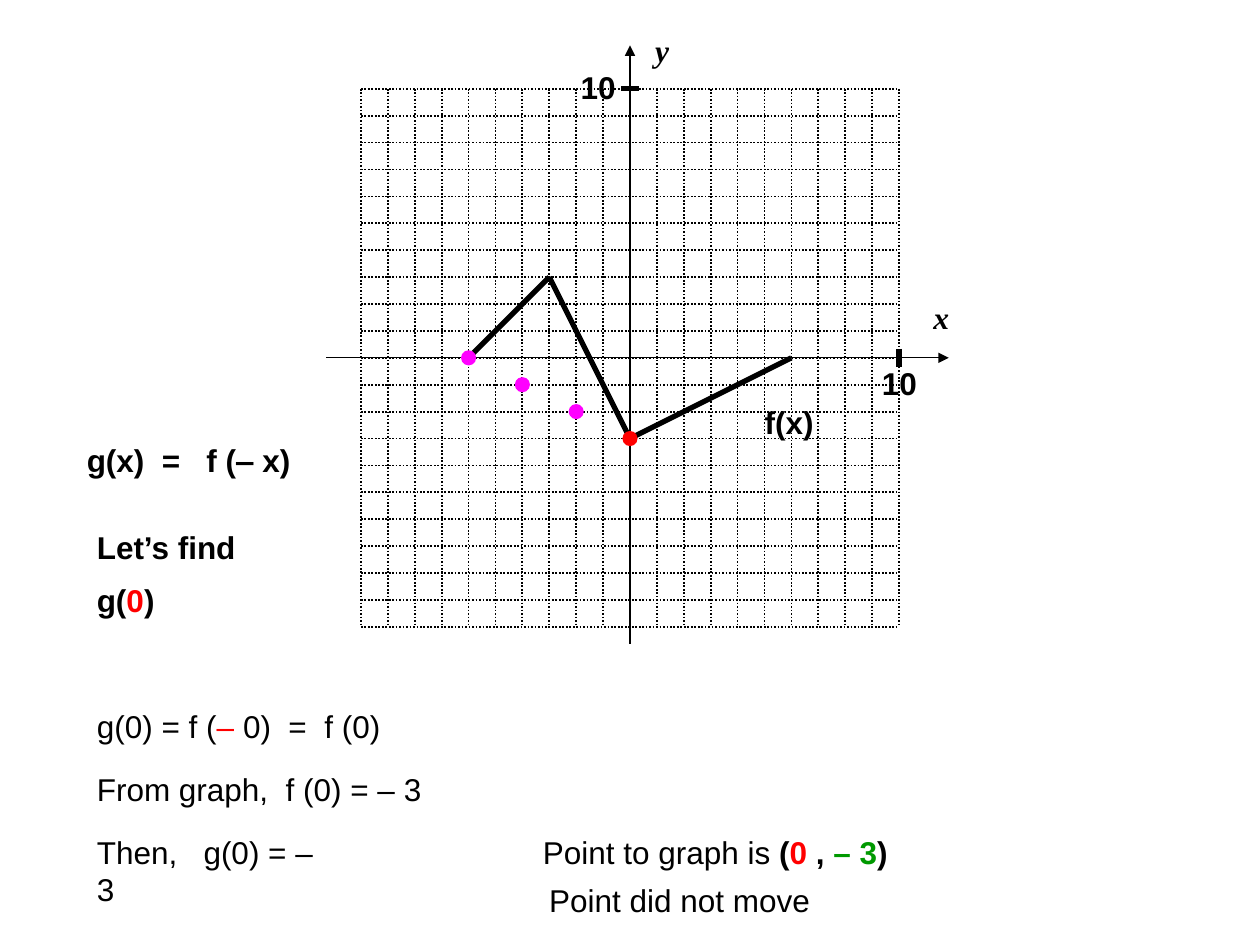
from typing import NamedTuple

from lxml.etree import SubElement
from pptx import Presentation
from pptx.dml.color import RGBColor
from pptx.enum.dml import MSO_LINE
from pptx.enum.shapes import MSO_CONNECTOR, MSO_SHAPE
from pptx.enum.text import MSO_AUTO_SIZE
from pptx.oxml.ns import qn
from pptx.util import Inches, Pt

BLACK, RED, GREEN, MAGENTA = "000000", "FF0000", "009900", "FF00FF"
ORIGIN_X, ORIGIN_Y = 5.0, 2.84
UNIT = 0.2135
LIMIT = 10
DOT_SIZE = 0.11
TICK = 0.07


class Point(NamedTuple):
    x: float
    y: float


class Phrase(NamedTuple):
    text: str
    color: str = BLACK
    bold: bool = False


class Label(NamedTuple):
    left: float
    top: float
    width: float
    phrases: list[Phrase]
    font: str = "Arial"
    italic: bool = False


class Dot(NamedTuple):
    center: Point
    color: str


CURVE = [Point(-6, 0), Point(-3, 3), Point(0, -3), Point(6, 0)]
DOTS = [
    Dot(Point(0, -3), RED),
    Dot(Point(-6, 0), MAGENTA),
    Dot(Point(-4, -1), MAGENTA),
    Dot(Point(-2, -2), MAGENTA),
]
LABELS = [
    Label(5.1, 0.2, 0.31, [Phrase("y", bold=True)], "Times New Roman", True),
    Label(7.31, 2.32, 0.32, [Phrase("x", bold=True)], "Times New Roman", True),
    Label(6.9, 2.84, 0.48, [Phrase("10", bold=True)]),
    Label(4.51, 0.49, 0.48, [Phrase("10", bold=True)]),
    Label(5.97, 3.15, 0.59, [Phrase("f(x)", bold=True)]),
    Label(0.59, 3.45, 1.82, [Phrase("g(x)  =   f (‒ x)", bold=True)]),
    Label(0.67, 4.14, 1.31, [Phrase("Let’s find", bold=True)]),
    Label(0.67, 4.56, 0.66,
          [Phrase("g(", bold=True), Phrase("0", RED, True), Phrase(")", bold=True)]),
    Label(0.67, 5.56, 2.52,
          [Phrase("g(0) = f ("), Phrase("‒ ", RED), Phrase("0)  =  f (0)")]),
    Label(0.67, 6.06, 2.78, [Phrase("From graph,  f (0) = ‒ 3")]),
    Label(0.67, 6.56, 2.12, [Phrase("Then,   g(0) = ‒ 3")]),
    Label(4.21, 6.56, 2.94,
          [Phrase("Point to graph is "), Phrase("(", bold=True),
           Phrase("0 ", RED, True), Phrase(", ", bold=True),
           Phrase("– 3", GREEN, True), Phrase(")", bold=True)]),
    Label(4.26, 6.94, 2.27, [Phrase("Point did not move")]),
]


def rgb(color: str) -> RGBColor:
    return RGBColor.from_string(color)


def on_slide(point: Point) -> Point:
    """Turn graph units into inches on the slide."""
    return Point(ORIGIN_X + point.x * UNIT, ORIGIN_Y - point.y * UNIT)


def draw_line(shapes, start: Point, end: Point, width: float,
              dotted: bool = False, arrow: bool = False) -> None:
    """Draw a black line between two places given in inches."""
    connector = shapes.add_connector(
        MSO_CONNECTOR.STRAIGHT, Inches(start.x), Inches(start.y),
        Inches(end.x), Inches(end.y))
    connector.line.color.rgb = rgb(BLACK)
    connector.line.width = Pt(width)
    if dotted:
        connector.line.dash_style = MSO_LINE.ROUND_DOT
    properties = connector._element.spPr
    if arrow:
        SubElement(properties.find(qn("a:ln")), qn("a:tailEnd"), type="triangle")
    SubElement(properties, qn("a:effectLst"))


def draw_grid(shapes) -> None:
    steps = range(-LIMIT, LIMIT + 1)
    verticals = [(Point(n, LIMIT), Point(n, -LIMIT)) for n in steps]
    horizontals = [(Point(-LIMIT, n), Point(LIMIT, n)) for n in steps]
    for start, end in verticals + horizontals:
        draw_line(shapes, on_slide(start), on_slide(end), 1, dotted=True)


def draw_curve(shapes) -> None:
    for start, end in zip(CURVE, CURVE[1:]):
        draw_line(shapes, on_slide(start), on_slide(end), 3)


def draw_axes(shapes) -> None:
    draw_line(shapes, Point(ORIGIN_X, 5.11), Point(ORIGIN_X, 0.36), 0.75, arrow=True)
    draw_line(shapes, Point(2.59, ORIGIN_Y), Point(7.53, ORIGIN_Y), 0.75, arrow=True)
    right, top = on_slide(Point(LIMIT, LIMIT))
    draw_line(shapes, Point(right, ORIGIN_Y - TICK), Point(right, ORIGIN_Y + TICK), 3)
    draw_line(shapes, Point(ORIGIN_X - TICK, top), Point(ORIGIN_X + TICK, top), 3)


def draw_dot(shapes, dot: Dot) -> None:
    x, y = on_slide(dot.center)
    marker = shapes.add_shape(
        MSO_SHAPE.OVAL, Inches(x - DOT_SIZE / 2), Inches(y - DOT_SIZE / 2),
        Inches(DOT_SIZE), Inches(DOT_SIZE))
    marker.shadow.inherit = False
    marker.fill.solid()
    marker.fill.fore_color.rgb = rgb(dot.color)
    marker.line.color.rgb = rgb(dot.color)
    marker.line.width = Pt(0.75)


def draw_label(shapes, label: Label) -> None:
    box = shapes.add_textbox(Inches(label.left), Inches(label.top),
                             Inches(label.width), Inches(0.4))
    frame = box.text_frame
    frame.word_wrap = False
    frame.auto_size = MSO_AUTO_SIZE.SHAPE_TO_FIT_TEXT
    paragraph = frame.paragraphs[0]
    paragraph.font.name = label.font
    paragraph.font.size = Pt(18)
    paragraph.font.italic = label.italic
    for phrase in label.phrases:
        run = paragraph.add_run()
        run.text = phrase.text
        run.font.bold = phrase.bold
        run.font.color.rgb = rgb(phrase.color)


def main() -> None:
    presentation = Presentation()
    presentation.slide_width = Inches(10)
    presentation.slide_height = Inches(7.5)
    shapes = presentation.slides.add_slide(presentation.slide_layouts[6]).shapes

    draw_curve(shapes.add_group_shape().shapes)
    draw_grid(shapes.add_group_shape().shapes)
    draw_axes(shapes)
    for dot in DOTS:
        draw_dot(shapes, dot)
    for label in LABELS:
        draw_label(shapes, label)
    presentation.save("out.pptx")


if __name__ == "__main__":
    main()
